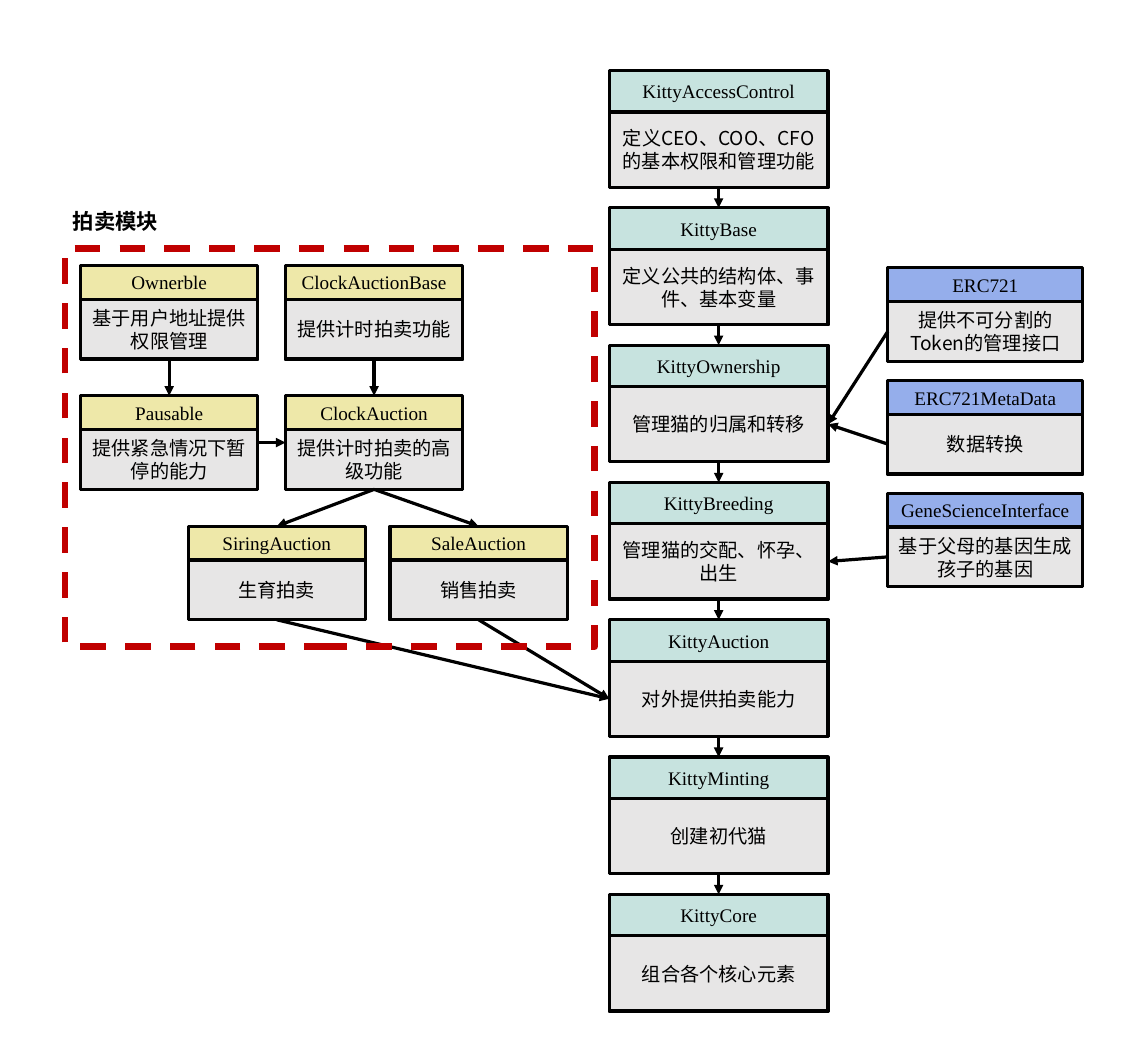
from dataclasses import dataclass

from lxml import etree
from pptx import Presentation
from pptx.dml.color import RGBColor
from pptx.enum.dml import MSO_LINE
from pptx.enum.shapes import MSO_CONNECTOR, MSO_SHAPE
from pptx.enum.text import MSO_ANCHOR, PP_ALIGN
from pptx.oxml.ns import qn
from pptx.util import Inches, Pt

RECT, STRAIGHT = MSO_SHAPE.RECTANGLE, MSO_CONNECTOR.STRAIGHT
MIDDLE, CENTER, LEFT_ALIGN = MSO_ANCHOR.MIDDLE, PP_ALIGN.CENTER, PP_ALIGN.LEFT
DASH = MSO_LINE.DASH
TOP, LEFT, BOTTOM, RIGHT = range(4)  # connection sites of a rectangle

LATIN, CJK = "Times New Roman", "Noto Sans CJK SC"
BLACK, GREY, RED = "000000", "E7E6E6", "C00000"


@dataclass(frozen=True)
class Grid:
    """Equal cards: origin, pitch, card size, body height and header colour."""
    x: float
    y: float
    dx: float
    dy: float
    w: float
    h: float
    body: float
    color: str


@dataclass(frozen=True)
class Card:
    grid: Grid
    col: float
    row: float
    name: str
    text: str


@dataclass(frozen=True)
class Link:
    start: str
    start_site: int
    end: str
    end_site: int
    whole: bool = False  # join at the whole card instead of its body


CORE = Grid(7.94, 0.92, 0, 1.79, 2.85, 1.52, 0.98, "C7E3DF")
AUCTION = Grid(1.05, 3.46, 2.67, 1.7, 2.31, 1.22, 0.78, "EEE8A9")
TOKEN = Grid(11.57, 3.49, 0, 1.47, 2.54, 1.22, 0.78, "95AEEB")

CORE_CHAIN = [
    ("KittyAccessControl", "定义CEO、COO、CFO的基本权限和管理功能"),
    ("KittyBase", "定义公共的结构体、事件、基本变量"),
    ("KittyOwnership", "管理猫的归属和转移"),
    ("KittyBreeding", "管理猫的交配、怀孕、出生"),
    ("KittyAuction", "对外提供拍卖能力"),
    ("KittyMinting", "创建初代猫"),
    ("KittyCore", "组合各个核心元素"),
]
TOKEN_STACK = [
    ("ERC721", "提供不可分割的Token的管理接口"),
    ("ERC721MetaData", "数据转换"),
    ("GeneScienceInterface", "基于父母的基因生成孩子的基因"),
]
CARDS = [
    *(Card(CORE, 0, i, *c) for i, c in enumerate(CORE_CHAIN)),
    Card(AUCTION, 0, 0, "Ownerble", "基于用户地址提供权限管理"),
    Card(AUCTION, 1, 0, "ClockAuctionBase", "提供计时拍卖功能"),
    Card(AUCTION, 0, 1, "Pausable", "提供紧急情况下暂停的能力"),
    Card(AUCTION, 1, 1, "ClockAuction", "提供计时拍卖的高级功能"),
    Card(AUCTION, 0.525, 2, "SiringAuction", "生育拍卖"),
    Card(AUCTION, 1.51, 2, "SaleAuction", "销售拍卖"),
    *(Card(TOKEN, 0, i, *c) for i, c in enumerate(TOKEN_STACK)),
]
LINKS = [
    *(Link(a[0], BOTTOM, b[0], TOP) for a, b in zip(CORE_CHAIN, CORE_CHAIN[1:])),
    Link("Ownerble", BOTTOM, "Pausable", TOP),
    Link("ClockAuctionBase", BOTTOM, "ClockAuction", TOP),
    Link("Pausable", RIGHT, "ClockAuction", LEFT, whole=True),
    Link("ClockAuction", BOTTOM, "SiringAuction", TOP),
    Link("ClockAuction", BOTTOM, "SaleAuction", TOP),
    Link("SaleAuction", BOTTOM, "KittyAuction", LEFT),
    Link("SiringAuction", BOTTOM, "KittyAuction", LEFT),
    Link("ERC721", LEFT, "KittyOwnership", RIGHT),
    Link("ERC721MetaData", LEFT, "KittyOwnership", RIGHT),
    Link("GeneScienceInterface", LEFT, "KittyBreeding", RIGHT),
]


def rgb(color: str) -> RGBColor:
    return RGBColor.from_string(color)


def add_rect(s, x: float, y: float, w: float, h: float, line: str,
             width: float, fill: str = ""):
    sp = s.shapes.add_shape(RECT, *map(Inches, (x, y, w, h)))
    sp.shadow.inherit = False
    if fill:
        sp.fill.solid()
        sp.fill.fore_color.rgb = rgb(fill)
    else:
        sp.fill.background()
    sp.line.color.rgb = rgb(line)
    sp.line.width = Pt(width)
    return sp


def add_text(tf, text: str, font: str, size: float, align, bold: bool = False) -> None:
    tf.word_wrap = True
    p = tf.paragraphs[0]
    p.alignment = align
    p.line_spacing = Pt(size * 1.2)
    r = p.add_run()
    r.text = text
    r.font.name, r.font.size, r.font.bold = font, Pt(size), bold
    r.font.color.rgb = rgb(BLACK)
    etree.SubElement(r.font._element, qn("a:ea")).set("typeface", font)


def add_card(s, card: Card):
    g = card.grid
    x, y = g.x + card.col * g.dx, g.y + card.row * g.dy
    frame = add_rect(s, x, y, g.w, g.h, BLACK, 3, g.color)
    body = add_rect(s, x, y + g.h - g.body, g.w, g.body, BLACK, 3, GREY)
    # The bottom inset keeps the name centred in the header strip
    frame.text_frame.margin_top = 0
    frame.text_frame.margin_bottom = Inches(g.body)
    for sp, text, font in ((frame, card.name, LATIN), (body, card.text, CJK)):
        sp.text_frame.vertical_anchor = MIDDLE
        add_text(sp.text_frame, text, font, 18, CENTER)
    return frame, body


def add_link(s, link: Link, boxes: dict) -> None:
    def part(name: str, site: int):
        frame, body = boxes[name]
        return frame if link.whole or site == TOP else body

    c = s.shapes.add_connector(STRAIGHT, 0, 0, 0, 0)
    c.begin_connect(part(link.start, link.start_site), link.start_site)
    c.end_connect(part(link.end, link.end_site), link.end_site)
    c.line.color.rgb = rgb(BLACK)
    c.line.width = Pt(3)
    etree.SubElement(c.line._get_or_add_ln(), qn("a:tailEnd")).set("type", "triangle")
    etree.SubElement(c._element.spPr, qn("a:effectLst"))


prs = Presentation()
prs.slide_width, prs.slide_height = Inches(14.96), Inches(13.78)
s = prs.slides.add_slide(prs.slide_layouts[6])

# Contract cards and the arrows between them
boxes = {card.name: add_card(s, card) for card in CARDS}
for link in LINKS:
    add_link(s, link, boxes)

# Auction module outline and its title
outline = add_rect(s, 0.85, 3.24, 6.9, 5.19, RED, 6)
outline.line.dash_style = DASH
title = s.shapes.add_textbox(*map(Inches, (0.85, 2.67, AUCTION.w, 0.44)))
add_text(title.text_frame, "拍卖模块", CJK, 20, LEFT_ALIGN, bold=True)

prs.save("out.pptx")
